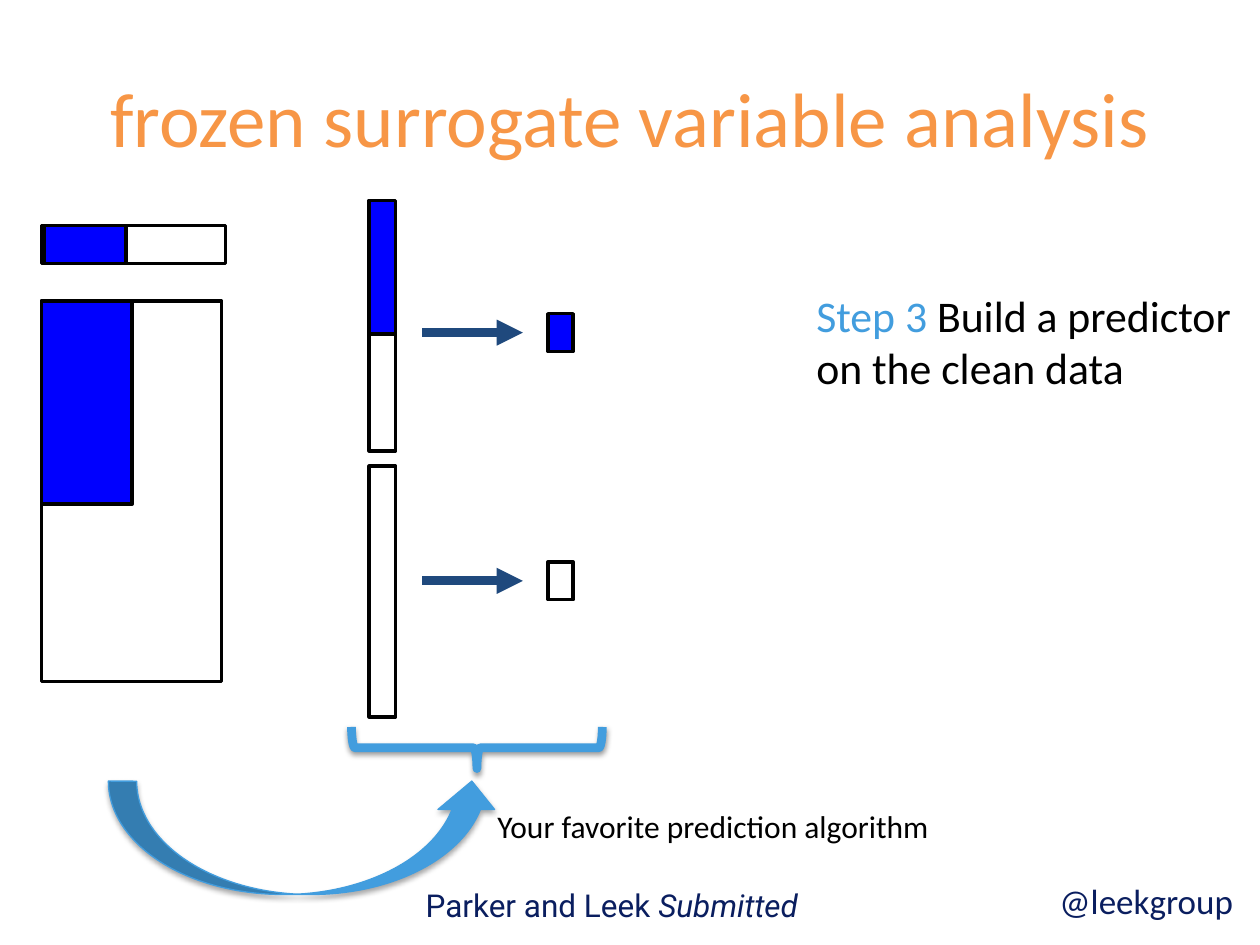
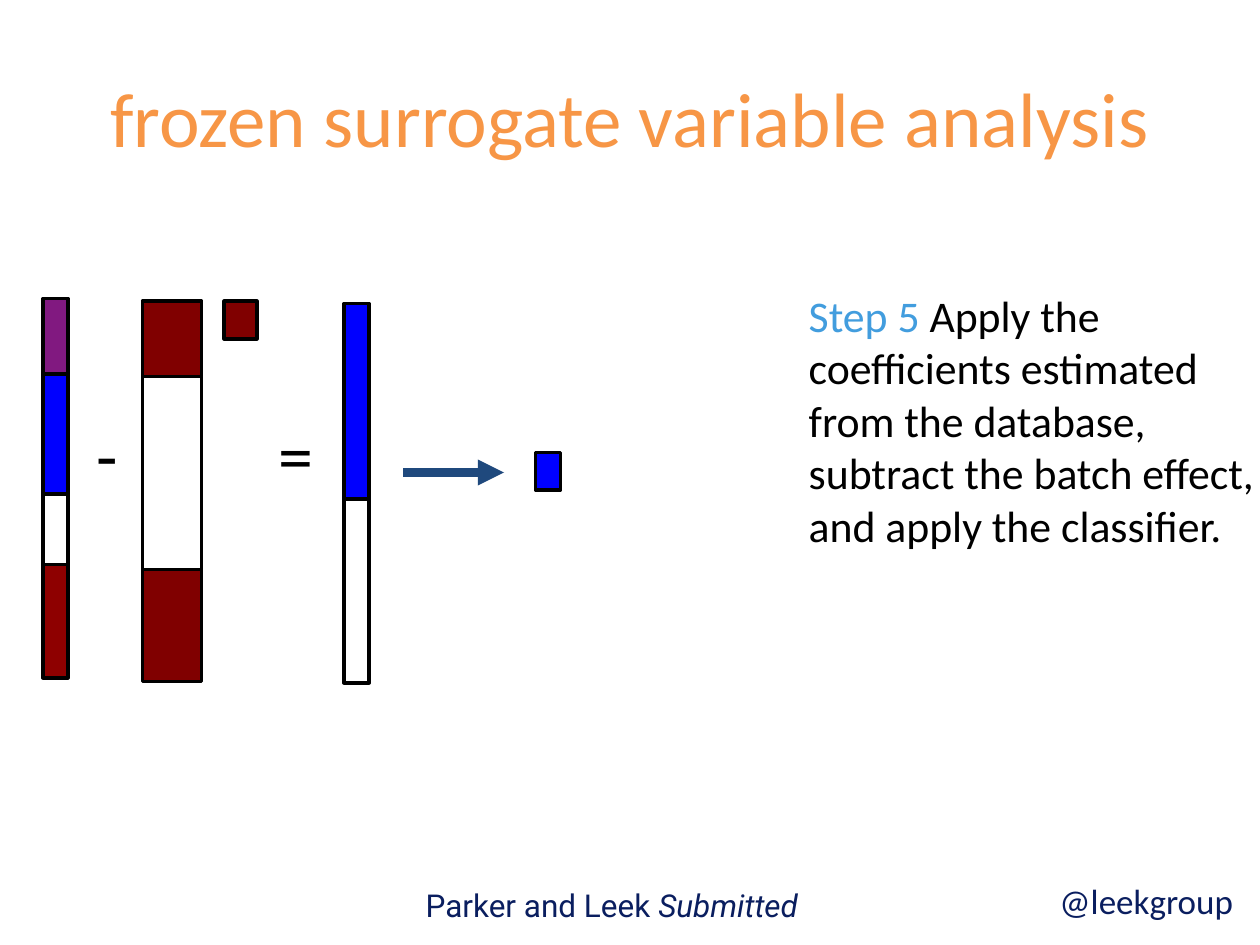
from lxml import etree
from pptx import Presentation
from pptx import util as u
from pptx.dml.color import RGBColor
from pptx.enum import shapes, text
from pptx.oxml import ns

ORANGE, SKY, NAVY, STEEL = "F79646", "429DDE", "0A1E5F", "1F497D"
BLACK, WHITE, BLUE = "000000", "FFFFFF", "0000FF"
PURPLE, RED, MAROON = "811980", "8E0000", "800000"
BAR_WIDTH = 0.2
OUTCOME = (0.2, 0.3)


def rgb(code):
    return RGBColor.from_string(code)


def add_text(slide, box, lines, size, font="Calibri", color=BLACK, wrap=True,
             align=text.PP_ALIGN.LEFT, anchor=text.MSO_ANCHOR.TOP):
    frame = slide.shapes.add_textbox(*map(u.Inches, box)).text_frame
    frame.word_wrap = wrap
    frame.vertical_anchor = anchor
    for index, line in enumerate(lines):
        paragraph = frame.paragraphs[0] if index == 0 else frame.add_paragraph()
        paragraph.alignment = align
        for part in line if isinstance(line, list) else [(line, {})]:
            words, style = part
            run = paragraph.add_run()
            run.text = words
            run.font.name = font
            run.font.size = u.Pt(size)
            run.font.color.rgb = rgb(style.get("color", color))
            if style.get("italic"):
                run.font.italic = True


def add_block(slide, left, top, width, height, fill):
    block = slide.shapes.add_shape(shapes.MSO_SHAPE.RECTANGLE,
                                   *map(u.Inches, (left, top, width, height)))
    block.shadow.inherit = False
    block.fill.solid()
    block.fill.fore_color.rgb = rgb(fill)
    block.line.color.rgb = rgb(BLACK)
    block.line.width = u.Pt(2)


def add_stack(slide, left, top, width, segments):
    for height, fill in segments:
        add_block(slide, left, top, width, height, fill)
        top += height


def add_arrow(slide, left, y, length=0.8):
    arrow = slide.shapes.add_connector(
        shapes.MSO_CONNECTOR.STRAIGHT,
        *map(u.Inches, (left, y, left + length, y)))
    arrow.line.color.rgb = rgb(STEEL)
    arrow.line.width = u.Pt(5)
    etree.SubElement(arrow.line._get_or_add_ln(), ns.qn("a:tailEnd"), type="triangle")
    etree.SubElement(arrow._element.spPr, ns.qn("a:effectLst"))


def add_shadow(shape, blur, distance, opacity):
    shape.shadow.inherit = False
    effects = shape._element.spPr.find(ns.qn("a:effectLst"))
    shadow = etree.SubElement(
        effects, ns.qn("a:outerShdw"), blurRad=str(u.Pt(blur)),
        dist=str(u.Pt(distance)), dir="5400000", rotWithShape="0")
    color = etree.SubElement(shadow, ns.qn("a:srgbClr"), val=BLACK)
    etree.SubElement(color, ns.qn("a:alpha"), val=str(opacity * 1000))


def add_curved_arrow(slide, box):
    curve = slide.shapes.add_shape(shapes.MSO_SHAPE.CURVED_DOWN_ARROW, *map(u.Inches, box))
    curve._element.spPr.xfrm.set("flipV", "1")
    curve.fill.solid()
    curve.fill.fore_color.rgb = rgb(SKY)
    curve.line.color.rgb = rgb(SKY)
    curve.line.width = u.Pt(0.75)
    add_shadow(curve, 3.1, 1.8, 35)


def add_brace(slide, box):
    brace = slide.shapes.add_shape(shapes.MSO_SHAPE.RIGHT_BRACE, *map(u.Inches, box))
    brace.rotation = 90
    brace.fill.background()
    brace.line.color.rgb = rgb(SKY)
    brace.line.width = u.Pt(5)
    add_shadow(brace, 3.1, 1.6, 38)


def add_frame(deck, step_box, step, first_line, *other_lines):
    slide = deck.slides.add_slide(deck.slide_layouts[6])
    add_text(slide, (8.31, 6.93, 1.6, 0.44), ["@leekgroup"], 20, color=NAVY, wrap=False)
    add_text(slide, (0.5, 0.3, 9, 1.25), ["frozen surrogate variable analysis"], 44,
             color=ORANGE, align=text.PP_ALIGN.CENTER, anchor=text.MSO_ANCHOR.MIDDLE)
    add_text(slide, step_box,
             [[(step + " ", {"color": SKY}), (first_line, {})], *other_lines], 25)
    add_text(slide, (3.28, 6.98, 3.45, 0.4),
             [[("Parker and Leek ", {}), ("Submitted", {"italic": True})]],
             18, font="Roboto", color=NAVY)
    return slide


def build_predictor(deck):
    slide = add_frame(deck, (6.38, 2.24, 3.88, 0.94), "Step 3",
                      "Build a predictor", "on the clean data")
    add_block(slide, 0.33, 2.39, 1.43, 3.02, WHITE)
    add_block(slide, 0.33, 2.39, 0.72, 1.61, BLUE)
    for left in (0.33, 0.35):
        add_block(slide, left, 1.79, 1.43, 0.3, BLUE)
        add_block(slide, left + 0.65, 1.79, 0.79, 0.3, WHITE)

    add_stack(slide, 2.93, 1.59, 0.21, [(1.06, BLUE), (0.93, WHITE)])
    add_block(slide, 2.93, 3.7, 0.21, 1.99, WHITE)
    for arrow_y, outcome in ((2.64, BLUE), (4.61, WHITE)):
        add_arrow(slide, 3.35, arrow_y)
        add_block(slide, 4.35, arrow_y - 0.15, *OUTCOME, outcome)

    add_curved_arrow(slide, (0.86, 6.2, 3.11, 0.9))
    add_brace(slide, (3.62, 4.94, 0.33, 1.99))
    add_text(slide, (3.85, 6.36, 3.67, 0.4),
             ["Your favorite prediction algorithm"], 18, wrap=False)


def build_classifier(deck):
    slide = add_frame(deck, (6.32, 2.24, 3.88, 2.2), "Step 5", "Apply the",
                      "coefficients estimated",
                      "from the database, subtract the batch effect,",
                      "and apply the classifier.")
    add_stack(slide, 0.34, 2.37, BAR_WIDTH,
              [(0.6, PURPLE), (0.95, BLUE), (0.56, WHITE), (0.9, RED)])
    add_stack(slide, 1.13, 2.39, 0.47,
              [(0.6, MAROON), (1.53, WHITE), (0.89, MAROON)])
    add_block(slide, 1.78, 2.39, 0.26, 0.3, MAROON)
    add_stack(slide, 2.73, 2.41, BAR_WIDTH, [(1.55, BLUE), (1.46, WHITE)])
    for left, width, sign in ((0.67, 0.38, "-"), (2.11, 0.53, "=")):
        add_text(slide, (left, 3.22, width, 0.77), [sign], 40, wrap=False)
    add_arrow(slide, 3.2, 3.75)
    add_block(slide, 4.25, 3.59, *OUTCOME, BLUE)


def main():
    deck = Presentation()
    deck.slide_width, deck.slide_height = u.Inches(10), u.Inches(7.5)
    build_predictor(deck)
    build_classifier(deck)
    deck.save("out.pptx")


if __name__ == "__main__":
    main()
